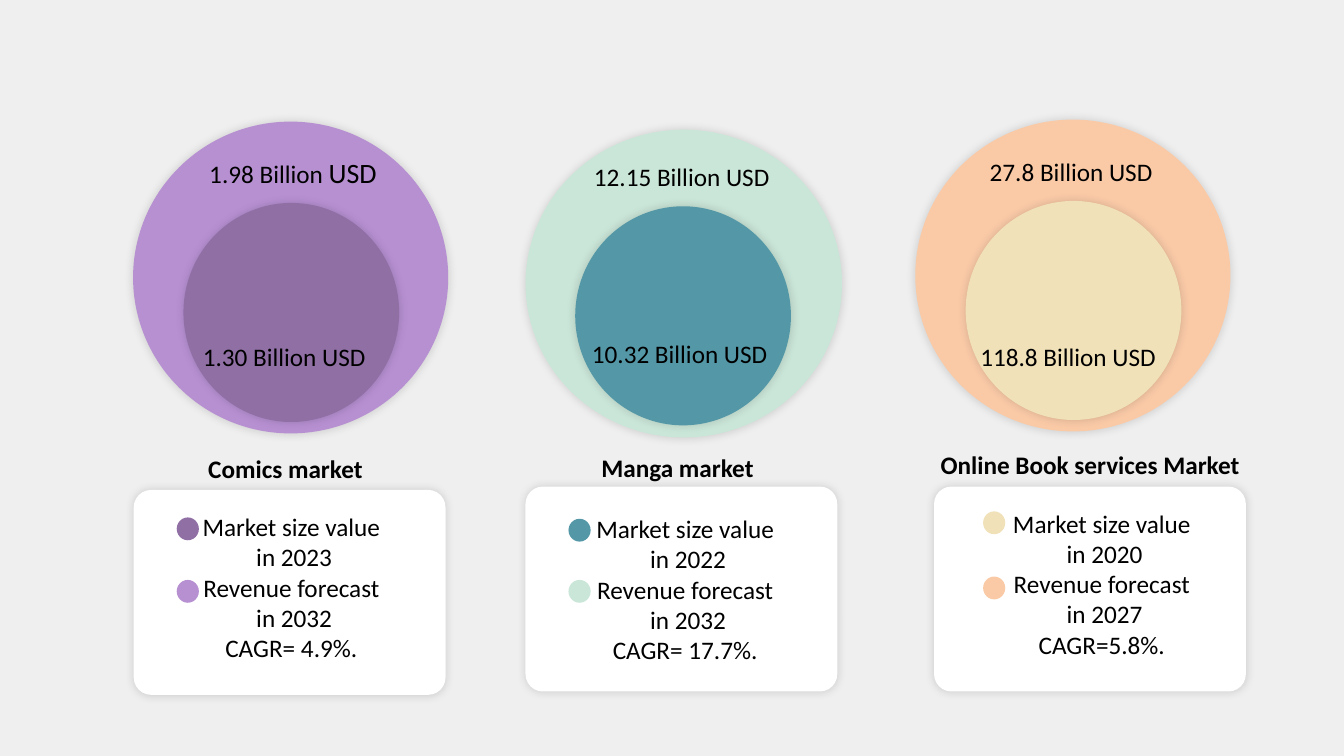
from dataclasses import dataclass

from lxml.etree import SubElement
from pptx import Presentation
from pptx.dml.color import RGBColor
from pptx.enum.shapes import MSO_SHAPE as Shape
from pptx.enum.text import MSO_AUTO_SIZE as AutoSize, PP_ALIGN as Align
from pptx.oxml.ns import qn
from pptx.util import Pt

PX = 9144  # 100 px to the inch
FONT = "Calibri"
TEXT_SIZE = 27

BACKGROUND = RGBColor(0xEF, 0xEF, 0xEF)
WHITE = RGBColor(0xFF, 0xFF, 0xFF)
BLACK = RGBColor(0, 0, 0)
PURPLE = RGBColor(0x90, 0x6F, 0xA5)
LILAC = RGBColor(0xB7, 0x90, 0xD2)
TEAL = RGBColor(0x54, 0x98, 0xA8)
MINT = RGBColor(0xCA, 0xE6, 0xD8)
CREAM = RGBColor(0xF0, 0xE1, 0xB8)
PEACH = RGBColor(0xFA, 0xCA, 0xA7)


@dataclass
class Market:
    name: str
    size_color: RGBColor
    forecast_color: RGBColor
    size_runs: list       # (text, points) pairs
    forecast_runs: list
    lines: list
    circles: tuple        # left, top, width, height of the outer circle
    inner: tuple          # the rest are offsets from the circles or the card
    size_label: tuple
    forecast_label: tuple
    card: tuple           # left, top
    title: tuple
    legend: tuple
    dots: tuple           # left, first top, second top


def legend_lines(size_year, forecast_year, growth):
    return ["Market size value", f" in {size_year}",
            "Revenue forecast", f" in {forecast_year}", growth]


MARKETS = [
    Market("Comics market", PURPLE, LILAC,
           [("1.30 Billion USD", TEXT_SIZE)],
           [("1.98 Billion ", TEXT_SIZE), ("USD", 30)],
           legend_lines(2023, 2032, "CAGR= 4.9%."),
           circles=(198, 181, 469, 464), inner=(75, 121),
           size_label=(94, 322, 265), forecast_label=(102, 45, 272),
           card=(199, 729), title=(101, -59, 252),
           legend=(2, 27), dots=(64, 41, 134)),
    Market("Manga market", TEAL, MINT,
           [("10.32 Billion USD", TEXT_SIZE)],
           [("12.15 Billion USD", TEXT_SIZE)],
           legend_lines(2022, 2032, "CAGR= 17.7%."),
           circles=(782, 193, 471, 458), inner=(74, 114),
           size_label=(89, 306, 286), forecast_label=(92, 42, 286),
           card=(782, 724), title=(103, -56, 249),
           legend=(5, 35), dots=(64, 48, 139)),
    Market("Online Book services Market", CREAM, PEACH,
           [("118.8 Billion USD", TEXT_SIZE)],
           [("27.8 Billion USD", TEXT_SIZE)],
           legend_lines(2020, 2027, "CAGR=5.8%."),
           circles=(1362, 178, 469, 464), inner=(75, 121),
           size_label=(87, 325, 286), forecast_label=(101, 50, 267),
           card=(1390, 724), title=(0, -61, 470),
           legend=(17, 27), dots=(73, 37, 134)),
]


def add_glow_shadow(shape, opacity):
    """Give the shape a soft black shadow that spreads evenly to all sides."""
    effects = shape._element.spPr.find(qn("a:effectLst"))
    shadow = SubElement(effects, qn("a:outerShdw"), blurRad=str(Pt(10)),
                        dist="0", dir="0", algn="ctr", rotWithShape="0")
    color = SubElement(shadow, qn("a:srgbClr"), val="000000")
    SubElement(color, qn("a:alpha"), val=str(opacity * 1000))


def add_filled(page, kind, left, top, width, height, color, opacity=0):
    shape = page.shapes.add_shape(
        kind, left * PX, top * PX, width * PX, height * PX)
    shape.shadow.inherit = False
    shape.fill.solid()
    shape.fill.fore_color.rgb = color
    shape.line.fill.background()
    if opacity:
        add_glow_shadow(shape, opacity)
    return shape


def add_text(page, left, top, width, height, paragraphs,
             align=Align.LEFT, bold=False, wrap=False):
    """Each paragraph is a list of (text, points) runs."""
    box = page.shapes.add_textbox(left * PX, top * PX, width * PX, height * PX)
    frame = box.text_frame
    frame.word_wrap = wrap
    frame.auto_size = AutoSize.SHAPE_TO_FIT_TEXT
    for index, runs in enumerate(paragraphs):
        para = frame.add_paragraph() if index else frame.paragraphs[0]
        para.alignment = align
        for text, points in runs:
            span = para.add_run()
            span.text = text
            span.font.name = FONT
            span.font.size = Pt(points)
            span.font.bold = bold
            span.font.color.rgb = BLACK


def add_circles(page, market):
    left, top, width, height = market.circles
    add_filled(page, Shape.OVAL, left, top, width, height,
               market.forecast_color, opacity=14)
    x, y = market.inner
    add_filled(page, Shape.OVAL, left + x, top + y, 321, 326,
               market.size_color, opacity=14)
    for (x, y, label_width), runs in (
            (market.size_label, market.size_runs),
            (market.forecast_label, market.forecast_runs)):
        height = 61 if len(runs) > 1 else 56
        align = Align.CENTER if len(runs) > 1 else Align.LEFT
        add_text(page, left + x, top + y, label_width, height, [runs], align)


def add_legend_card(page, market):
    left, top = market.card
    card = add_filled(page, Shape.ROUNDED_RECTANGLE, left, top, 464, 305,
                      WHITE, opacity=15)
    card.adjustments[0] = 0.085
    x, y, width = market.title
    add_text(page, left + x, top + y, width, 56,
             [[(market.name, TEXT_SIZE)]], bold=True)
    x, y = market.legend
    add_text(page, left + x, top + y, 465, 237,
             [[(line, TEXT_SIZE)] for line in market.lines],
             Align.CENTER, wrap=True)
    x, *dot_tops = market.dots
    for y, color in zip(dot_tops, (market.size_color, market.forecast_color)):
        add_filled(page, Shape.OVAL, left + x, top + y, 33, 34, color)


def main():
    deck = Presentation()
    deck.slide_width, deck.slide_height = 2000 * PX, 1125 * PX
    page = deck.slides.add_slide(deck.slide_layouts[6])
    page.background.fill.solid()
    page.background.fill.fore_color.rgb = BACKGROUND
    for market in MARKETS:
        add_circles(page, market)
        add_legend_card(page, market)
    deck.save("out.pptx")


if __name__ == "__main__":
    main()
